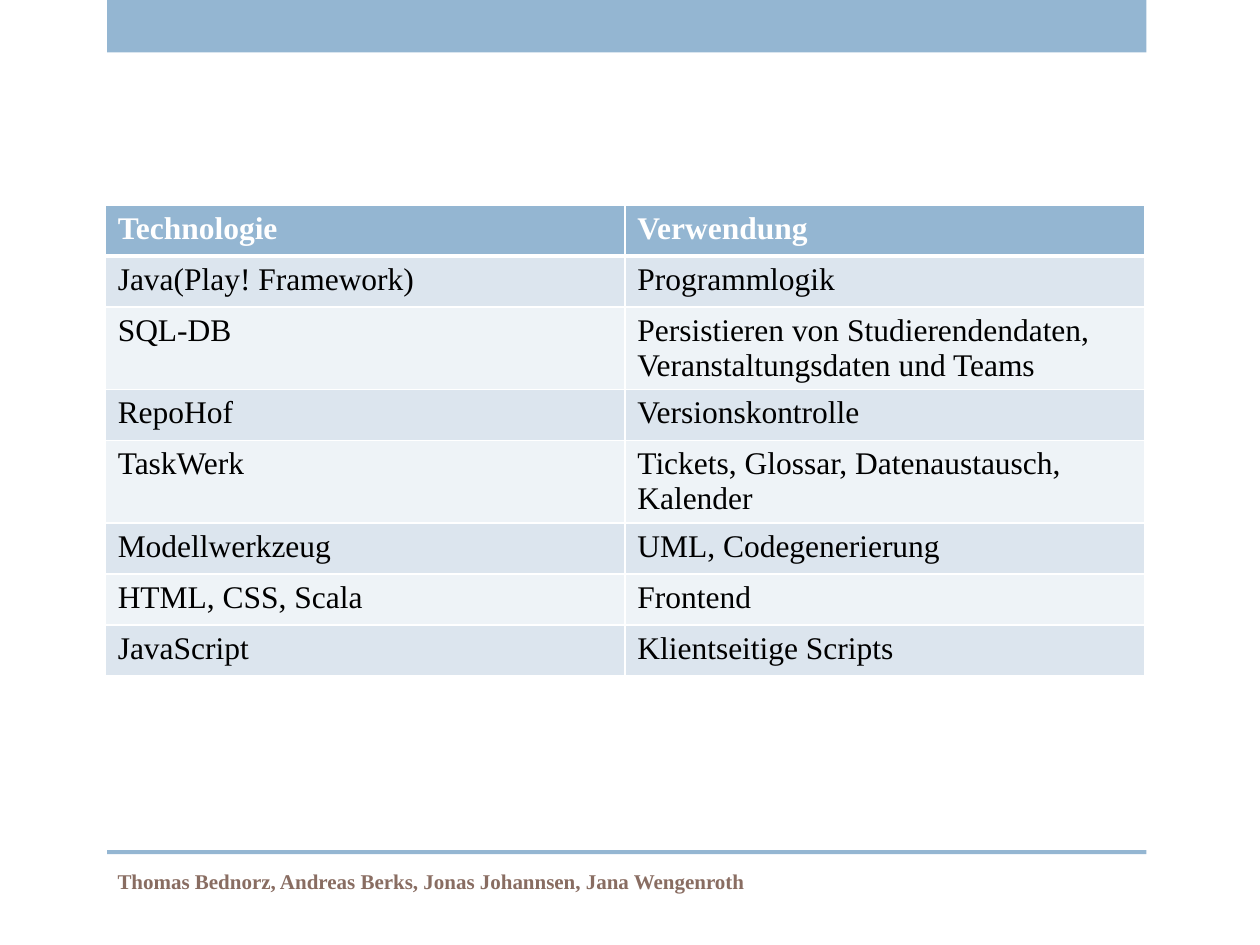
from lxml.etree import SubElement
from pptx import Presentation
from pptx.dml.color import RGBColor
from pptx.enum.shapes import MSO_SHAPE
from pptx.enum.text import MSO_ANCHOR
from pptx.oxml.ns import qn
from pptx.util import Cm, Pt

FONT = "Times New Roman"
COLORS = {
    "accent": "94B6D2",
    "band_dark": "DCE5EE",
    "band_light": "EEF3F7",
    "white": "FFFFFF",
    "black": "000000",
    "authors": "896D62",
}
TECHNOLOGIES = [
    ("Technologie", "Verwendung"),
    ("Java(Play! Framework)", "Programmlogik"),
    ("SQL-DB", "Persistieren von Studierendendaten, Veranstaltungsdaten und Teams"),
    ("RepoHof", "Versionskontrolle"),
    ("TaskWerk", "Tickets, Glossar, Datenaustausch, Kalender"),
    ("Modellwerkzeug", "UML, Codegenerierung"),
    ("HTML, CSS, Scala", "Frontend"),
    ("JavaScript", "Klientseitige Scripts"),
]
AUTHORS = "Thomas Bednorz, Andreas Berks, Jonas Johannsen, Jana Wengenroth"
BARS = [(0, 1.06), (17.14, 0.08)]
BAR_LEFT, CONTENT_LEFT, CONTENT_WIDTH = 2.16, 2.12, 20.95
TABLE_TOP, ROW_HEIGHT = 4.13, 1.03


def rgb(name):
    return RGBColor.from_string(COLORS[name])


def write(frame, text, size, color, bold):
    run = frame.paragraphs[0].add_run()
    run.text = text
    run.font.name = FONT
    run.font.size = Pt(size)
    run.font.bold = bold
    run.font.color.rgb = rgb(color)


def add_border(cell, side, width):
    line = SubElement(cell._tc.get_or_add_tcPr(), qn(f"a:ln{side}"), w=str(Pt(width)))
    fill = SubElement(line, qn("a:solidFill"))
    SubElement(fill, qn("a:srgbClr"), val=COLORS["white"])


def add_bar(slide, top, height):
    bar = slide.shapes.add_shape(
        MSO_SHAPE.RECTANGLE, Cm(BAR_LEFT), Cm(top), Cm(CONTENT_WIDTH), Cm(height)
    )
    bar.shadow.inherit = False
    bar.fill.solid()
    bar.fill.fore_color.rgb = rgb("accent")
    bar.line.fill.background()


def add_technologies(slide):
    row_count, column_count = len(TECHNOLOGIES), len(TECHNOLOGIES[0])
    table = slide.shapes.add_table(
        row_count, column_count, Cm(CONTENT_LEFT), Cm(TABLE_TOP),
        Cm(CONTENT_WIDTH), Cm(ROW_HEIGHT * row_count),
    ).table
    for r, entries in enumerate(TECHNOLOGIES):
        header = r == 0
        band = "accent" if header else ("band_light", "band_dark")[r % 2]
        widths = {"L": 1, "R": 1, "T": 3 if r == 1 else 1, "B": 3 if header else 1}
        for c, entry in enumerate(entries):
            cell = table.cell(r, c)
            for side, width in widths.items():
                add_border(cell, side, width)
            cell.fill.solid()
            cell.fill.fore_color.rgb = rgb(band)
            write(cell.text_frame, entry, 18, "white" if header else "black", header)


def add_authors(slide):
    frame = slide.shapes.add_textbox(
        Cm(CONTENT_LEFT), Cm(17.25), Cm(18.19), Cm(1.02)
    ).text_frame
    frame.word_wrap = True
    frame.vertical_anchor = MSO_ANCHOR.MIDDLE
    write(frame, AUTHORS, 12, "authors", True)


def main():
    deck = Presentation()
    deck.slide_width, deck.slide_height = Cm(25.4), Cm(19.05)
    slide = deck.slides.add_slide(deck.slide_layouts.get_by_name("Blank"))
    for top, height in BARS:
        add_bar(slide, top, height)
    add_technologies(slide)
    add_authors(slide)
    deck.save("out.pptx")


if __name__ == "__main__":
    main()
